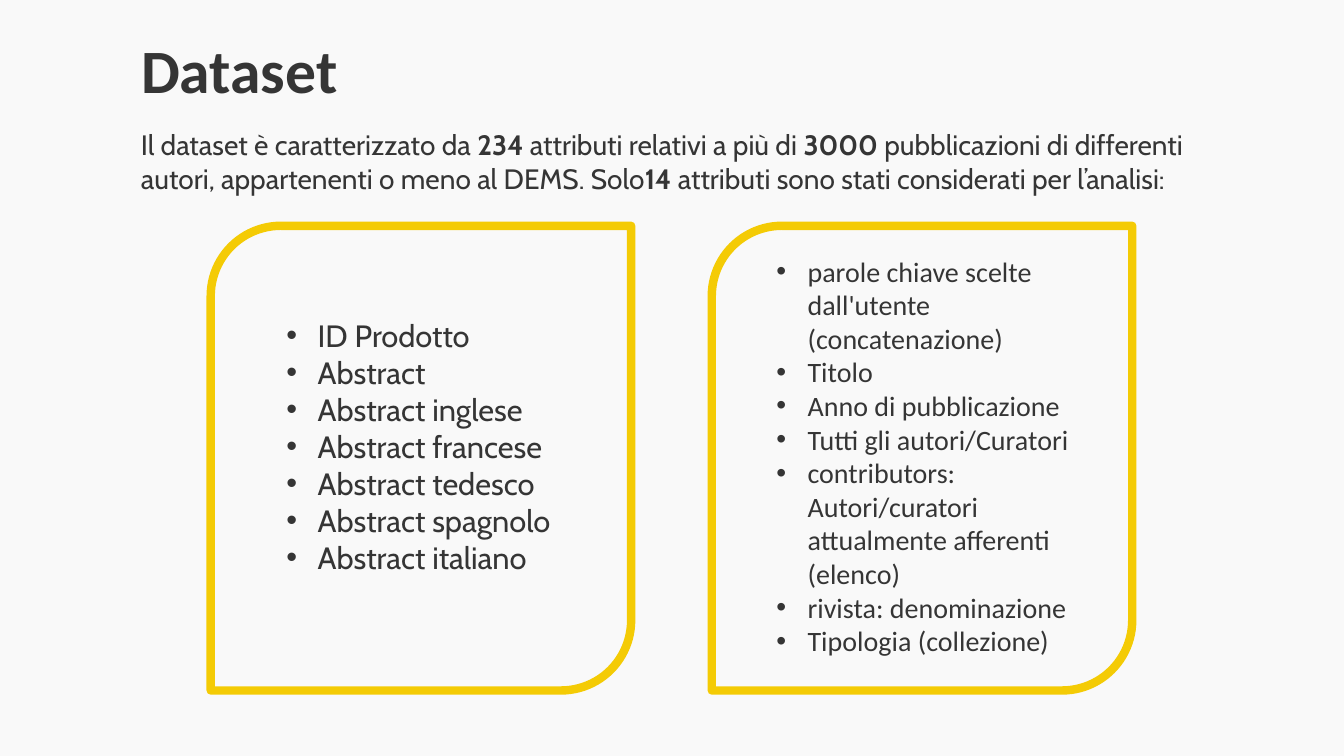
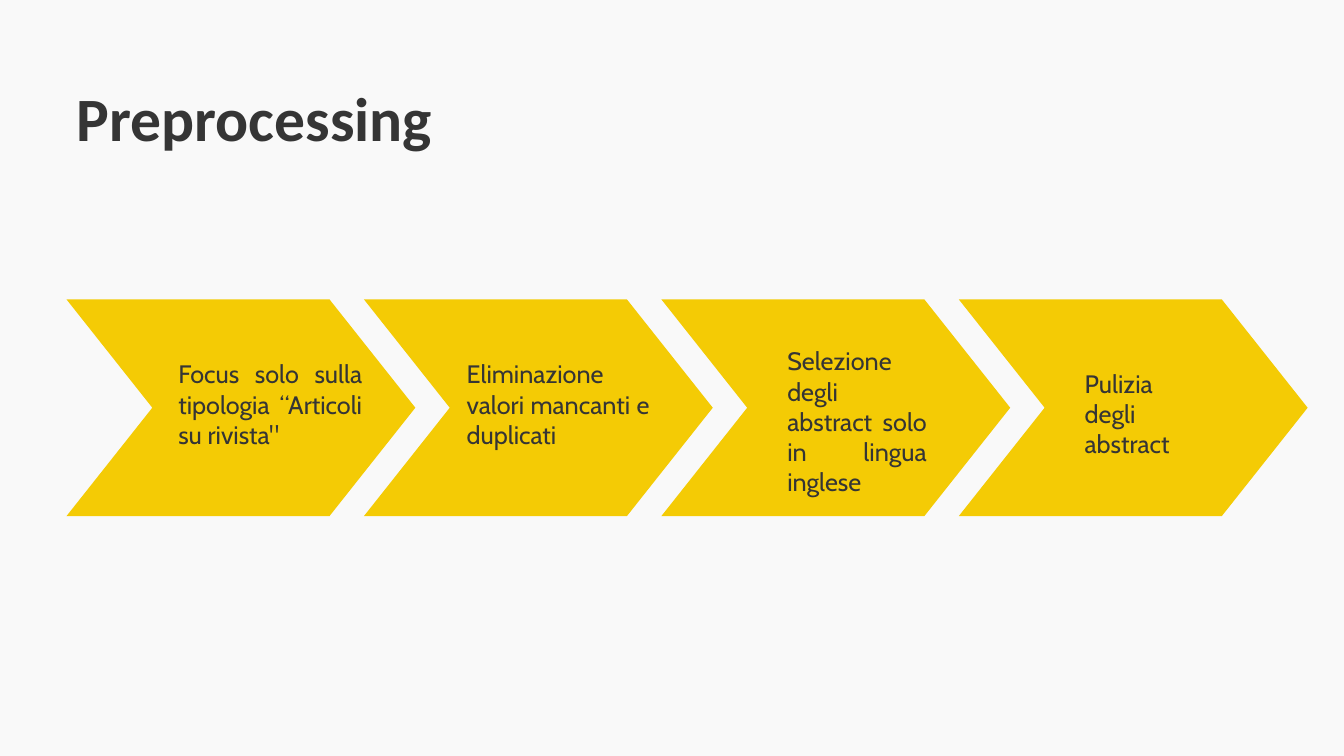
"""Build the dataset and preprocessing slides."""
from pptx import Presentation
from pptx.dml.color import RGBColor
from pptx.enum.shapes import MSO_SHAPE
from pptx.enum.text import MSO_ANCHOR, MSO_AUTO_SIZE, PP_ALIGN
from pptx.util import Pt

LEFT, JUSTIFY = PP_ALIGN.LEFT, PP_ALIGN.JUSTIFY
TOP, MIDDLE = MSO_ANCHOR.TOP, MSO_ANCHOR.MIDDLE
FIXED = MSO_AUTO_SIZE.NONE
FRAME, CHEVRON = MSO_SHAPE.ROUND_2_DIAG_RECTANGLE, MSO_SHAPE.CHEVRON
PX = 9144


class Theme:
    """Hold the colours, fonts and sizes of the deck."""
    paper = RGBColor.from_string("F9F9F9")
    ink = RGBColor.from_string("353535")
    gold = RGBColor.from_string("F4CB05")
    head, text = "Calibri", "Cabin"
    title, large, body, step = 44, 22, 20, 18
    border = 6


INTRO = [
    ("Il dataset è caratterizzato da ", False),
    ("234", True),
    (" attributi relativi a più di ", False),
    ("3000", True),
    (" pubblicazioni di differenti autori, appartenenti o meno al DEMS. Solo", False),
    ("14", True),
    (" attributi sono stati considerati per l’analisi:", False),
]
LISTS = [
    {"box": (274, 309, 287, 269), "font": Theme.text, "size": Theme.large,
     "items": ["ID Prodotto", "Abstract", "Abstract inglese", "Abstract francese",
               "Abstract tedesco", "Abstract spagnolo", "Abstract italiano"]},
    {"box": (760, 247, 340, 414), "font": Theme.head, "size": Theme.body,
     "items": ["parole chiave scelte dall'utente (concatenazione)", "Titolo",
               "Anno di pubblicazione", "Tutti gli autori/Curatori",
               "contributors: Autori/curatori attualmente afferenti (elenco)",
               "rivista: denominazione", "Tipologia (collezione)"]},
]
STEPS = [
    ("Focus solo sulla tipologia “Articoli su rivista\"", (167, 351, 202, 131)),
    ("Eliminazione valori mancanti e duplicati", (453, 351, 201, 101)),
    ("Selezione degli abstract solo in lingua inglese", (771, 338, 158, 131)),
    ("Pulizia degli abstract", (1066, 360, 137, 71)),
]


def place(shape, box):
    shape.left, shape.top, shape.width, shape.height = (n * PX for n in box)


def style(shape, font, size, align=LEFT, anchor=TOP):
    frame = shape.text_frame
    frame.word_wrap = True
    frame.auto_size = FIXED
    frame.vertical_anchor = anchor
    for para in frame.paragraphs:
        para.alignment = align
        para.space_before = Pt(0)
        for run in para.runs:
            run.font.name = font
            run.font.size = Pt(size)
            run.font.color.rgb = Theme.ink


def add_slide(deck, layout, title, box):
    slide = deck.slides.add_slide(deck.slide_layouts.get_by_name(layout))
    head = slide.shapes.title
    place(head, box)
    head.text_frame.text = title
    style(head, Theme.head, Theme.title, anchor=MIDDLE)
    para = head.text_frame.paragraphs[0]
    para.line_spacing = 0.9
    para.runs[0].font.bold = True
    return slide


def add_text(slide, box):
    return slide.shapes.add_textbox(*(n * PX for n in box))


def add_form(slide, kind, box, adjust):
    form = slide.shapes.add_shape(kind, *(n * PX for n in box))
    form.shadow.inherit = False
    form.adjustments[0] = adjust
    return form


def fill_list(shape, part):
    place(shape, part["box"])
    shape.text_frame.text = "\n".join(part["items"])
    style(shape, part["font"], part["size"])
    for para in shape.text_frame.paragraphs:
        props = para._p.get_or_add_pPr()
        props.set("marL", str(31 * PX))
        props.set("indent", str(-31 * PX))


def dataset(deck):
    slide = add_slide(deck, "Two Content", "Dataset", (130, 0, 248, 145))
    intro = add_text(slide, (130, 122, 1074, 108))
    para = intro.text_frame.paragraphs[0]
    for words, bold in INTRO:
        run = para.add_run()
        run.text = words
        run.font.bold = bold
    style(intro, Theme.text, Theme.body)
    for col, part in enumerate(LISTS):
        fill_list(slide.placeholders[col + 1], part)
        frame = add_form(slide, FRAME, (209 + col * 497, 224, 417, 461), 0.167)
        frame.fill.background()
        frame.line.color.rgb = Theme.gold
        frame.line.width = Pt(Theme.border)


def process(deck):
    slide = add_slide(deck, "Title Only", "Preprocessing", (66, 48, 1150, 145))
    for col, (words, box) in enumerate(STEPS):
        arrow = add_form(slide, CHEVRON, (66 + col * 295, 297, 346, 215), 0.396)
        arrow.fill.solid()
        arrow.fill.fore_color.rgb = Theme.gold
        arrow.line.fill.background()
        label = add_text(slide, box)
        label.text_frame.text = words
        style(label, Theme.text, Theme.step, JUSTIFY)


def main():
    deck = Presentation()
    deck.slide_width, deck.slide_height = 1333 * PX, 750 * PX
    paper = deck.slide_master.background.fill
    paper.solid()
    paper.fore_color.rgb = Theme.paper
    dataset(deck)
    process(deck)
    deck.save("out.pptx")


if __name__ == "__main__":
    main()
